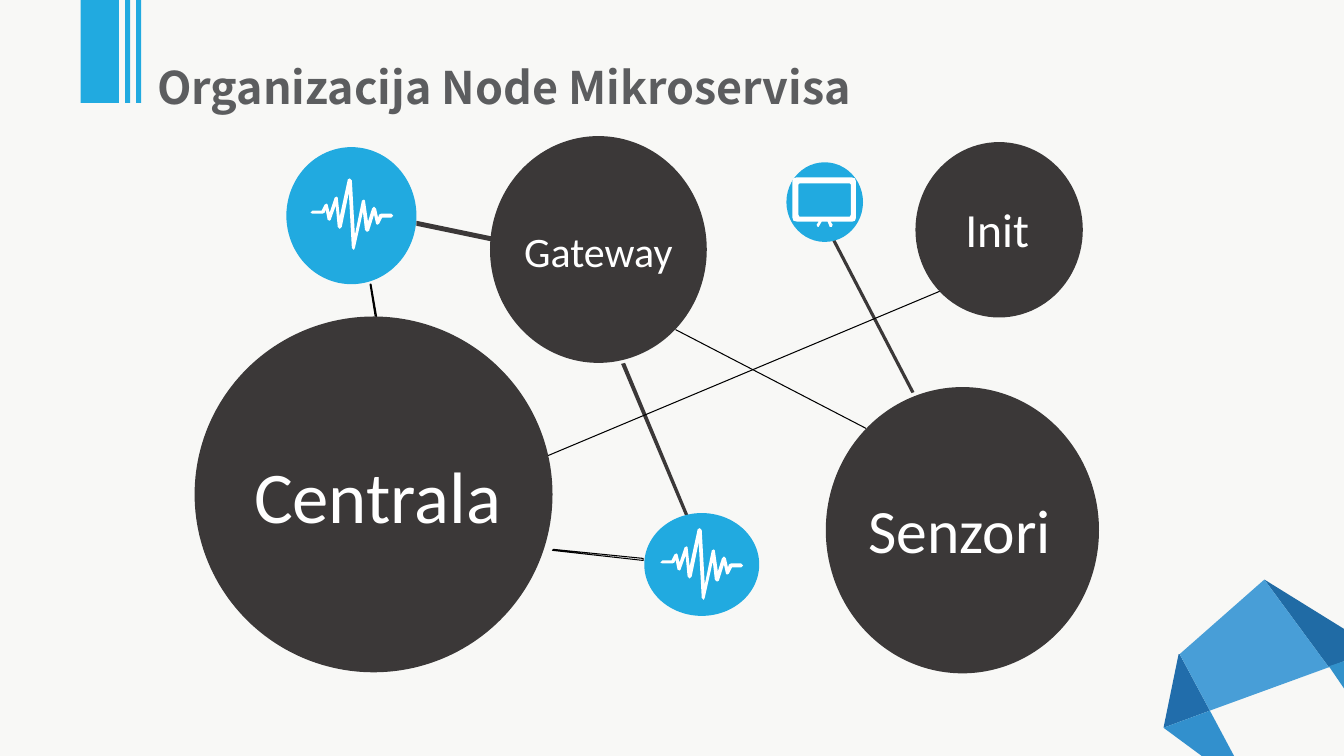
import pptx
import pptx.util
import pptx.dml.color
import pptx.enum.shapes
import pptx.enum.text
import pptx.oxml
import pptx.oxml.ns

Inches = pptx.util.Inches
Pt = pptx.util.Pt
RGBColor = pptx.dml.color.RGBColor
SHAPES = pptx.enum.shapes.MSO_SHAPE
ANCHOR = pptx.enum.text.MSO_ANCHOR
ALIGN = pptx.enum.text.PP_ALIGN
AUTO_SIZE = pptx.enum.text.MSO_AUTO_SIZE
qn = pptx.oxml.ns.qn
NAMESPACE = pptx.oxml.ns.nsdecls("a")

BACKGROUND = RGBColor(0xF8, 0xF8, 0xF6)
BLUE = RGBColor(0x21, 0xAA, 0xE0)
CHARCOAL = RGBColor(0x3B, 0x38, 0x38)
TITLE_GREY = RGBColor(0x5C, 0x5D, 0x5F)
WHITE = RGBColor(0xFF, 0xFF, 0xFF)
BLACK = RGBColor(0x00, 0x00, 0x00)
FACET_DARK = RGBColor(0x21, 0x6D, 0xAB)
FACET_DEEP = RGBColor(0x20, 0x6B, 0xA5)
FACET_MID = RGBColor(0x32, 0x90, 0xCD)
FACET_LIGHT = RGBColor(0x48, 0x9E, 0xD7)
FACET_EDGE = RGBColor(0x32, 0x91, 0xCA)

deck = pptx.Presentation()
deck.slide_width, deck.slide_height = Inches(13.33), Inches(7.5)
slide = deck.slides.add_slide(deck.slide_layouts[5])
slide.background.fill.solid()
slide.background.fill.fore_color.rgb = BACKGROUND


def draw_preset(kind, box, color):
    shape = slide.shapes.add_shape(kind, *map(Inches, box))
    shape.shadow.inherit = False
    shape.fill.solid()
    shape.fill.fore_color.rgb = color
    shape.line.fill.background()


def draw_outline(contours, color, left=0, top=0):
    builder = None
    for first, *rest in contours:
        if builder is None:
            builder = slide.shapes.build_freeform(*first, scale=Inches(0.01))
        else:
            builder.move_to(*first)
        builder.add_line_segments(rest, close=True)
    shape = builder.convert_to_shape(Inches(left), Inches(top))
    shape.shadow.inherit = False
    shape.fill.solid()
    shape.fill.fore_color.rgb = color
    shape.line.fill.background()
    return shape


facets = [
    (FACET_DARK, [(1154, 722), (1169, 649), (1170, 649), (1200, 705)]),
    (FACET_DEEP, [(1318, 662), (1254, 575), (1333, 624), (1333, 656)]),
    (FACET_MID, [(1224, 750), (1192, 750), (1154, 722), (1200, 705)]),
    (FACET_LIGHT, [(1200, 705), (1170, 649), (1254, 575), (1318, 662)]),
    (FACET_EDGE, [(1333, 683), (1318, 661), (1333, 656)]),
]
for color, corners in facets:
    draw_outline([corners], color)

solid_links = [
    [(616, 361), (620, 360), (684, 514), (681, 515)],
    [(825, 238), (828, 237), (907, 389), (904, 390)],
    [(413, 224), (413, 219), (490, 235), (490, 240)],
]
for corners in solid_links:
    draw_outline([corners], CHARCOAL)

hollow_links = [
    [(548, 546), (549, 545), (638, 554), (638, 556)],
    [(367, 282), (368, 282), (382, 363), (380, 363)],
]
for corners in hollow_links:
    link = draw_outline([corners], WHITE)
    link.line.color.rgb = BLACK
    link.line.width = Pt(0.75)
    tint = link._element.spPr.find(qn("a:solidFill"))[0]
    tint.append(pptx.oxml.parse_xml(f'<a:alpha {NAMESPACE} val="60000"/>'))

thin_links = [(8.59, 4.25, 6.7, 3.27), (5.34, 4.56, 9.32, 2.89)]
for ends in thin_links:
    link = slide.shapes.add_connector(
        pptx.enum.shapes.MSO_CONNECTOR.STRAIGHT, *map(Inches, ends))
    link.line.color.rgb = BLACK
    link.line.width = Pt(0.75)
    link._element.spPr.append(pptx.oxml.parse_xml(f"<a:effectLst {NAMESPACE}/>"))

icon_discs = [(2.84, 1.46, 1.29, 1.36), (7.8, 1.61, 0.76, 0.79), (6.39, 5.09, 1.14, 1.02)]
for box in icon_discs:
    draw_preset(SHAPES.OVAL, box, BLUE)

services = [
    ("Gateway", 30, (4.86, 1.35, 2.15, 2.25), (4.82, 2.19, 2.23, 0.6)),
    ("Init", 34, (9.08, 1.41, 1.66, 1.74), (9.25, 1.93, 1.28, 0.67)),
    ("Centrala", 52, (1.93, 3.14, 3.55, 3.53), (2, 4.42, 3.49, 0.97)),
    ("Senzori", 44, (8.19, 3.84, 2.71, 2.84), (8.25, 4.83, 2.54, 0.84)),
]
for service, size, disc, label_box in services:
    draw_preset(SHAPES.OVAL, disc, CHARCOAL)
    label = slide.shapes.add_textbox(*map(Inches, label_box)).text_frame
    label.word_wrap = True
    label.auto_size = AUTO_SIZE.SHAPE_TO_FIT_TEXT
    label.text = service
    label.paragraphs[0].alignment = ALIGN.CENTER
    label_font = label.paragraphs[0].runs[0].font
    for key, value in {"name": "Calibri", "size": Pt(size)}.items():
        setattr(label_font, key, value)
    label_font.color.rgb = WHITE

pulse = [
    (80, 35), (70, 35), (68, 36), (67, 39), (65, 30), (63, 28), (61, 30), (57, 43),
    (54, 22), (53, 21), (51, 22), (44, 56), (41, 2), (39, 0), (37, 1), (29, 38),
    (27, 19), (26, 18), (24, 19), (19, 34), (17, 26), (16, 25), (14, 26), (11, 32),
    (2, 32), (0, 34), (2, 35), (12, 35), (14, 34), (15, 31), (17, 41), (19, 42),
    (20, 41), (25, 27), (27, 48), (29, 50), (31, 48), (38, 14), (41, 69), (43, 71),
    (44, 69), (52, 33), (54, 51), (56, 53), (58, 52), (63, 36), (65, 45), (66, 46),
    (68, 45), (71, 39), (80, 39), (82, 37),
]
for left, top in [(3.08, 1.77), (6.55, 5.24)]:
    draw_outline([pulse], WHITE, left, top)

monitor_frame = [
    (59, 0), (4, 0), (1, 1), (0, 4), (0, 40), (1, 43), (5, 44), (26, 44), (24, 47),
    (25, 49), (26, 49), (29, 44), (35, 44), (37, 49), (39, 49), (40, 47), (38, 44),
    (59, 44), (62, 43), (63, 40), (63, 4), (62, 1),
]
monitor_screen = [(58, 37), (57, 39), (7, 39), (6, 37), (6, 7), (7, 6), (57, 6), (58, 7)]
draw_outline([monitor_frame, monitor_screen], WHITE, 7.86, 1.76)

for left, width in [(0.8, 0.38), (1.24, 0.05), (1.35, 0.05)]:
    draw_preset(SHAPES.RECTANGLE, (left, 0, width, 1.02), BLUE)

title = slide.shapes.title
title_place = {"left": 1.56, "top": 0.48, "width": 10.09, "height": 0.65}
for key, value in title_place.items():
    setattr(title, key, Inches(value))
title_frame = title.text_frame
title_frame.text = "Organizacija Node Mikroservisa"
title_layout = {
    "margin_left": 0, "margin_top": 0, "margin_right": 0, "margin_bottom": 0,
    "word_wrap": True, "auto_size": AUTO_SIZE.NONE, "vertical_anchor": ANCHOR.MIDDLE,
}
for key, value in title_layout.items():
    setattr(title_frame, key, value)
heading = title_frame.paragraphs[0]
heading.alignment = ALIGN.LEFT
heading.line_spacing = 1.2
title_font = heading.runs[0].font
for key, value in {"name": "Noto Sans CJK SC", "size": Pt(32), "bold": True}.items():
    setattr(title_font, key, value)
title_font.color.rgb = TITLE_GREY

deck.save("out.pptx")
